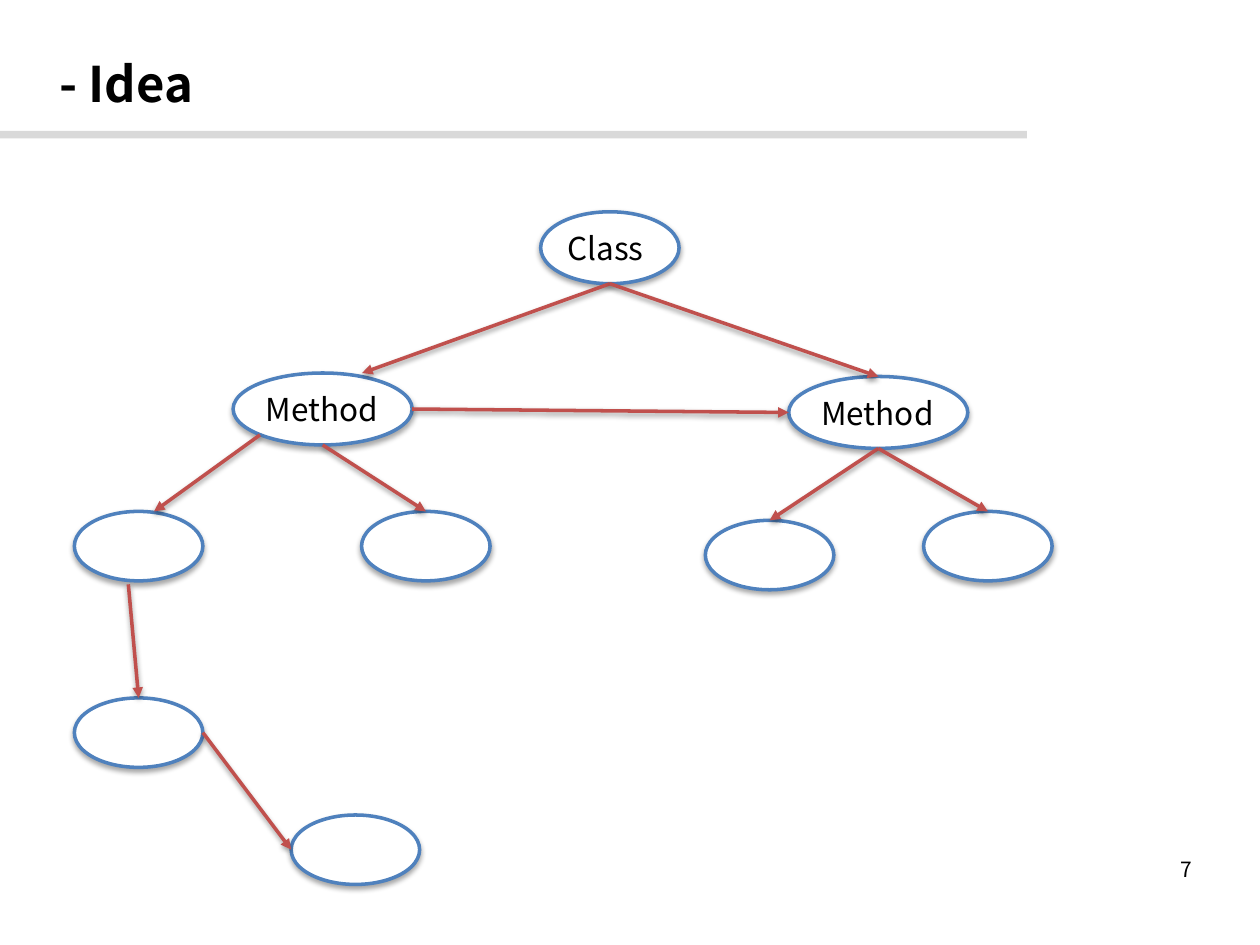
"""Build a slide with a tree of class and method nodes."""
from dataclasses import dataclass

from pptx import Presentation
from pptx import oxml
from pptx import util as u
from pptx.dml.color import RGBColor
from pptx.enum import shapes, text
from pptx.oxml import ns


@dataclass(frozen=True)
class Theme:
    """Colours, type sizes and line width of the slide."""
    face: str = "Noto Sans CJK KR"
    ink: str = "000000"
    paper: str = "FFFFFF"
    rule: str = "D9D9D9"
    ring: str = "4F81BD"
    arrow: str = "C0504D"
    head: int = 28
    label: int = 18
    small: int = 12
    width: int = 2


THEME = Theme()
TOP, LEFT, BASE, RIGHT = (0.5, 0), (0, 0.5), (0.5, 1), (1, 0.5)
BIG, WIDE, LEAF = (2.79, 1.45), (3.61, 1.45), (2.59, 1.4)

NODES = {
    "class": (10.9, 4.27, BIG, "Class"),
    "first": (4.7, 7.52, WIDE, "Method"),
    "second": (15.9, 7.59, WIDE, "Method"),
    "a": (1.5, 10.31, LEAF, ""),
    "a1": (1.5, 14.07, LEAF, ""),
    "b": (7.29, 10.31, LEAF, ""),
    "a2": (5.87, 16.43, LEAF, ""),
    "c": (14.22, 10.49, LEAF, ""),
    "d": (18.62, 10.31, LEAF, ""),
}
EDGES = [
    ("first", RIGHT, "second", LEFT),
    ("first", (0.15, 0.86), "a", (0.62, 0)),
    ("a", (0.42, 1.05), "a1", TOP),
    ("a1", RIGHT, "a2", LEFT),
    ("first", BASE, "b", TOP),
    ("class", BASE, "first", (0.72, 0)),
    ("class", BASE, "second", TOP),
    ("second", BASE, "c", TOP),
    ("second", BASE, "d", TOP),
]


def apply(item, values):
    """Set each attribute named in values on item."""
    for name, value in values.items():
        setattr(item, name, value)


def place(shape, left, top, width, height):
    """Move and size a shape in centimetres."""
    apply(shape, {"left": u.Cm(left), "top": u.Cm(top),
                  "width": u.Cm(width), "height": u.Cm(height)})


def write(shape, words, size, bold=False, align=text.PP_ALIGN.LEFT):
    """Write one line of text, centred in height, into a shape."""
    frame = shape.text_frame
    pad = u.Cm(0.13)
    apply(frame, {"word_wrap": True, "auto_size": text.MSO_AUTO_SIZE.NONE,
                  "vertical_anchor": text.MSO_ANCHOR.MIDDLE,
                  "margin_left": pad, "margin_right": pad,
                  "margin_top": pad, "margin_bottom": pad})
    line = frame.paragraphs[0]
    line.alignment = align
    run = line.add_run()
    run.text = words
    apply(run.font, {"name": THEME.face, "size": u.Pt(size), "bold": bold})
    run.font.color.rgb = RGBColor.from_string(THEME.ink)


def paint(item, shade):
    """Give a fill a solid colour."""
    item.solid()
    item.fore_color.rgb = RGBColor.from_string(shade)


def stroke(item, shade):
    """Draw the line of a shape or connector."""
    paint(item.line.fill, shade)
    item.line.width = u.Pt(THEME.width)


def shade(item, depth, alpha):
    """Cast a soft shadow straight down."""
    item._element.spPr.append(oxml.parse_xml(
        f'<a:effectLst {ns.nsdecls("a")}>'
        f'<a:outerShdw blurRad="{u.Pt(3)}" dist="{u.Pt(depth)}" '
        f'dir="5400000" rotWithShape="0"><a:srgbClr val="{THEME.ink}">'
        f'<a:alpha val="{alpha * 1000}"/></a:srgbClr>'
        '</a:outerShdw></a:effectLst>'))


def add_rule(slide):
    """Add the grey bar below the title."""
    bar = slide.shapes.add_shape(shapes.MSO_SHAPE.RECTANGLE, 0, 0, 0, 0)
    place(bar, 0, 2.64, 20.7, 0.15)
    paint(bar.fill, THEME.rule)
    bar.line.fill.background()
    bar.shadow.inherit = False


def add_node(slide, left, top, size, words):
    """Add an oval node, with a label if it has one."""
    node = slide.shapes.add_shape(shapes.MSO_SHAPE.OVAL, 0, 0, 0, 0)
    place(node, left, top, *size)
    paint(node.fill, THEME.paper)
    stroke(node, THEME.ring)
    shade(node, 1.8, 35)
    if words:
        write(node, words, THEME.label)
    return node


def point(node, part):
    """Find the spot at a given share of a node's width and height."""
    return (int(node.left + part[0] * node.width),
            int(node.top + part[1] * node.height))


def add_edge(slide, start, end):
    """Add an arrow between two points."""
    edge = slide.shapes.add_connector(
        shapes.MSO_CONNECTOR.STRAIGHT, *start, *end)
    stroke(edge, THEME.arrow)
    edge.line._get_or_add_ln().append(oxml.parse_xml(
        f'<a:tailEnd {ns.nsdecls("a")} type="triangle"/>'))
    shade(edge, 1.6, 38)


def main():
    """Build and save the slide."""
    deck = Presentation()
    apply(deck, {"slide_width": u.Cm(25.4), "slide_height": u.Cm(19.05)})
    slide = deck.slides.add_slide(deck.slide_layouts[5])
    add_rule(slide)
    title = slide.shapes.title
    place(title, 1.07, 0.05, 22.43, 3.25)
    write(title, "- Idea", THEME.head, bold=True)
    page = slide.shapes.add_textbox(0, 0, 0, 0)
    place(page, 18.24, 17.15, 5.92, 0.76)
    write(page, "7", THEME.small, align=text.PP_ALIGN.RIGHT)
    nodes = {key: add_node(slide, *node) for key, node in NODES.items()}
    for start, exit_at, end, enter_at in EDGES:
        add_edge(slide, point(nodes[start], exit_at),
                 point(nodes[end], enter_at))
    deck.save("out.pptx")


if __name__ == "__main__":
    main()
